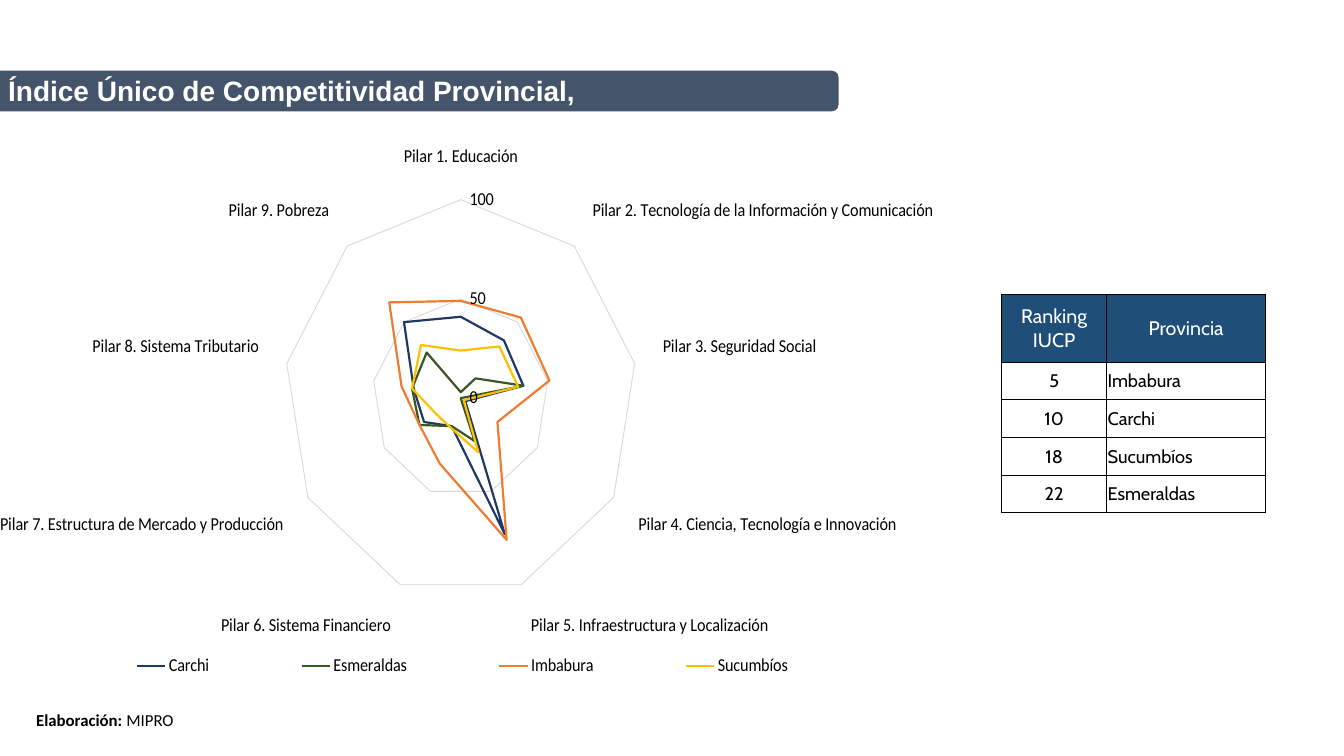
from lxml.etree import SubElement
from pptx import Presentation
from pptx.chart.data import CategoryChartData
from pptx.dml.color import RGBColor
from pptx.enum.chart import XL_CHART_TYPE, XL_LEGEND_POSITION, XL_TICK_MARK
from pptx.enum.shapes import MSO_SHAPE
from pptx.enum.text import MSO_ANCHOR, MSO_AUTO_SIZE, PP_ALIGN
from pptx.oxml import parse_xml
from pptx.oxml.ns import nsdecls, qn
from pptx.util import Pt

TITLE = "Índice Único de Competitividad Provincial,"
CREDIT = ("Elaboración: ", "MIPRO")
PILLARS = [
    "Educación", "Tecnología de la Información y Comunicación",
    "Seguridad Social", "Ciencia, Tecnología e Innovación",
    "Infraestructura y Localización", "Sistema Financiero",
    "Estructura de Mercado y Producción", "Sistema Tributario", "Pobreza",
]
SCORES = {
    "Carchi": (41, 38, 36, 3, 73, 15, 24, 27, 50),
    "Esmeraldas": (3, 13, 36, 0, 23, 15, 27, 28, 30),
    "Imbabura": (49, 53, 51, 24, 76, 35, 27, 34, 63),
    "Sucumbíos": (24, 34, 33, 2, 29, 16, 16, 28, 35),
}
RANKING = [
    ("Ranking IUCP", "Provincia"),
    ("5", "Imbabura"),
    ("10", "Carchi"),
    ("18", "Sucumbíos"),
    ("22", "Esmeraldas"),
]
THEME = {
    "bar": "44546A", "head": "1F4E78", "grid": "D9D9D9",
    "lines": ("203864", "385723", "ED7D31", "FFC000"),
    "title": {"name": "Arial", "size": 20, "color": "FFFFFF", "bold": True},
    "chart": {"name": "Calibri", "size": 13, "color": "000000"},
    "credit": {"name": "Calibri", "size": 12, "color": "000000"},
    "top": {"name": "Cabin", "size": 14, "color": "FFFFFF"},
    "body": {"name": "Cabin", "size": 13, "color": "000000"},
}
WIDE, HIGH = 960, 540
CHART = (0, 0, 669, 503.5)
BAR = (0, 50.5, 599, 29)
TITLE_BOX = (0, 49.7, 447, 29.5)
TITLE_PAD = (5.8, 2.9)
CREDIT_BOX = (18.7, 503.3, 409.7, 21.6)
CREDIT_PAD = (7.2, 3.6)
TABLE = (715.5, 210.3)
COLS, TOP_ROW, ROW = (75, 113.5), 48.4, 26.9
PLOT = (0.28, 0.22, 0.42, 0.68)
PLOT = (0.281, 0.223, 0.424, 0.684)
LEGEND = (0, 0.92, 0.99, 0.05)


def points(box):
    return [Pt(v) for v in box]


def style(font, look):
    for key, value in look.items():
        if key == "color":
            font.color.rgb = RGBColor.from_string(value)
        else:
            setattr(font, key, Pt(value) if key == "size" else value)


def paint(fill, color):
    fill.solid()
    fill.fore_color.rgb = RGBColor.from_string(color)


def stroke(line, color, width):
    paint(line.fill, color)
    line.width = Pt(width)


def place(node, index, box, inner=False):
    """Pin a chart part to fractions of the chart area."""
    for old in node.findall(qn("c:layout")):
        node.remove(old)
    layout = parse_xml(f"<c:layout {nsdecls('c')}><c:manualLayout/></c:layout>")
    parts = [("layoutTarget", "inner")] if inner else []
    parts += [("xMode", "edge"), ("yMode", "edge"), *zip("xywh", box)]
    for tag, value in parts:
        SubElement(layout[0], qn("c:" + tag)).set("val", str(value))
    node.insert(index, layout)


def add_radar(slide):
    data = CategoryChartData(number_format="#,##0")
    data.categories = [f"Pilar {n}. {name}" for n, name in enumerate(PILLARS, 1)]
    for name, values in SCORES.items():
        data.add_series(name, values)
    chart = slide.shapes.add_chart(XL_CHART_TYPE.RADAR, *points(CHART), data).chart
    style(chart.font, THEME["chart"])
    chart.has_title = False
    chart.has_legend = True
    legend = chart.legend
    legend.position = XL_LEGEND_POSITION.TOP
    legend.include_in_layout = False
    style(legend.font, THEME["chart"])
    place(legend._element, 1, LEGEND)
    place(chart._chartSpace.chart.plotArea, 0, PLOT, inner=True)

    for plot in chart.plots:
        plot.vary_by_categories = False
    for line, color in zip(chart.series, THEME["lines"]):
        stroke(line.format.line, color, 1.75)
        line.smooth = False

    pillar, score = chart.category_axis, chart.value_axis
    pillar.has_major_gridlines = False
    pillar.major_tick_mark = XL_TICK_MARK.NONE
    stroke(pillar.format.line, THEME["grid"], 0.75)
    limits = {"minimum_scale": 0, "maximum_scale": 100, "major_unit": 50,
              "has_major_gridlines": True, "major_tick_mark": XL_TICK_MARK.CROSS}
    for key, value in limits.items():
        setattr(score, key, value)
    score.format.line.fill.background()
    stroke(score.major_gridlines.format.line, THEME["grid"], 0.75)
    score.tick_labels.number_format = "#,##0"
    score.tick_labels.number_format_is_linked = False
    for axis in (pillar, score):
        style(axis.tick_labels.font, THEME["chart"])


def add_bar(slide):
    """Draw the upright shape that a quarter turn lays along the title."""
    left, top, width, height = BAR
    shift = (width - height) / 2
    box = points((left + shift, top - shift, height, width))
    bar = slide.shapes.add_shape(MSO_SHAPE.ROUND_2_SAME_RECTANGLE, *box)
    bar.rotation = 90
    bar.shadow.inherit = False
    paint(bar.fill, THEME["bar"])
    bar.line.fill.background()


def add_text(slide, box, pad, runs):
    frame = slide.shapes.add_textbox(*points(box)).text_frame
    across, down = points(pad)
    layout = {"word_wrap": True, "auto_size": MSO_AUTO_SIZE.SHAPE_TO_FIT_TEXT,
              "margin_left": across, "margin_right": across,
              "margin_top": down, "margin_bottom": down}
    for key, value in layout.items():
        setattr(frame, key, value)
    for text, look in runs:
        run = frame.paragraphs[0].add_run()
        run.text = text
        style(run.font, look)


def edge(cell):
    props = cell._tc.get_or_add_tcPr()
    for side in "LRTB":
        props.append(parse_xml(
            f'<a:ln{side} {nsdecls("a")} w="{Pt(0.5)}"><a:solidFill>'
            f'<a:srgbClr val="000000"/></a:solidFill></a:ln{side}>'))


def add_ranking(slide):
    heights = [TOP_ROW] + [ROW] * (len(RANKING) - 1)
    box = points((*TABLE, sum(COLS), sum(heights)))
    table = slide.shapes.add_table(len(RANKING), len(COLS), *box).table
    table.horz_banding = False
    for col, width in zip(table.columns, COLS):
        col.width = Pt(width)
    for r, (row, height) in enumerate(zip(RANKING, heights)):
        table.rows[r].height = Pt(height)
        for c, text in enumerate(row):
            cell = table.cell(r, c)
            edge(cell)
            layout = {"margin_left": Pt(0.7), "margin_right": Pt(0.7),
                      "margin_top": Pt(0.7), "margin_bottom": 0,
                      "vertical_anchor": MSO_ANCHOR.MIDDLE, "text": text}
            for key, value in layout.items():
                setattr(cell, key, value)
            if r == 0:
                paint(cell.fill, THEME["head"])
            else:
                cell.fill.background()
            para = cell.text_frame.paragraphs[0]
            para.alignment = PP_ALIGN.LEFT if r and c else PP_ALIGN.CENTER
            style(para.runs[0].font, THEME["body" if r else "top"] | {"bold": False})


def main():
    deck = Presentation()
    deck.slide_width, deck.slide_height = Pt(WIDE), Pt(HIGH)
    slide = deck.slides.add_slide(deck.slide_layouts[6])
    add_radar(slide)
    add_bar(slide)
    add_text(slide, TITLE_BOX, TITLE_PAD, [(TITLE, THEME["title"])])
    add_text(slide, CREDIT_BOX, CREDIT_PAD, [
        (text, THEME["credit"] | {"bold": bold})
        for text, bold in zip(CREDIT, (True, False))])
    add_ranking(slide)
    deck.save("out.pptx")


if __name__ == "__main__":
    main()
